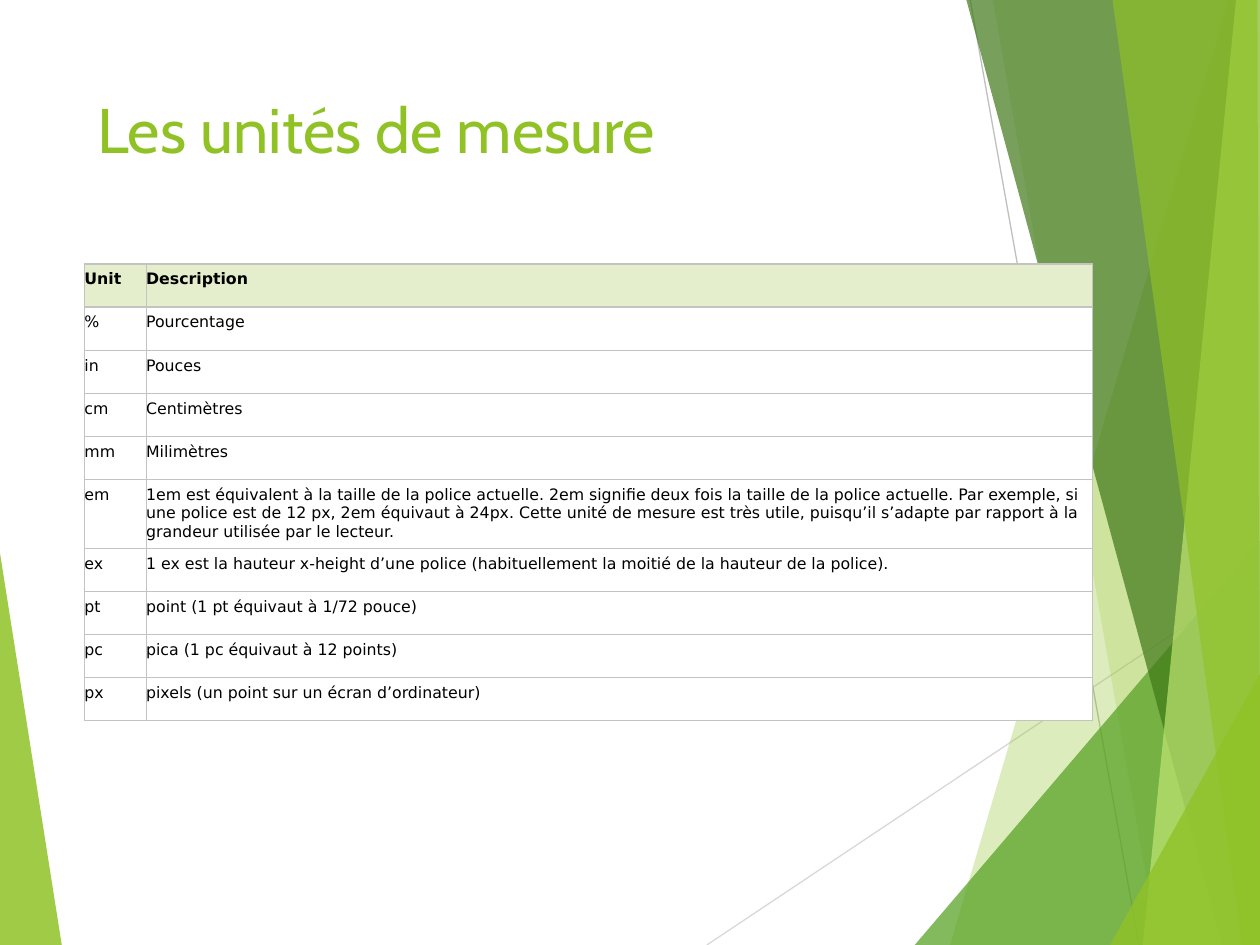
from lxml.etree import SubElement
from pptx import Presentation
from pptx.dml.color import RGBColor
from pptx.enum.shapes import MSO_CONNECTOR as Connector
from pptx.enum.text import MSO_ANCHOR as Anchor, PP_ALIGN as Align
from pptx.oxml.ns import qn
from pptx.util import Inches, Pt

LIME = RGBColor(0x90, 0xC2, 0x26)
PALE_LIME = RGBColor(0xBF, 0xE4, 0x71)
GREEN = RGBColor(0x54, 0xA0, 0x21)
DARK_GREEN = RGBColor(0x3F, 0x78, 0x18)
HEADER_GREEN = RGBColor(0xE5, 0xEE, 0xCC)
LIGHT_GREY = RGBColor(0xD8, 0xD8, 0xD8)
GREY = RGBColor(0xBF, 0xBF, 0xBF)
BORDER_GREY = RGBColor(0xC3, 0xC3, 0xC3)
WHITE = RGBColor(0xFF, 0xFF, 0xFF)
BLACK = RGBColor(0, 0, 0)

COLUMNS, ROWS = 100, 75

LEFT_FACET = ([(0, 43.9), (4.9, 75), (0, 75)], LIME, 85)
RIGHT_FACETS = [
    ([(97.5, 0), (75.4, 75), (100, 75), (100, 0)], LIME, 30),
    ([(78.8, 0), (91.9, 75), (100, 75), (100, 0)], LIME, 20),
    ([(72.6, 75), (100, 42.9), (100, 75)], GREEN, 72),
    ([(76.7, 0), (97, 75), (100, 75), (100, 0)], DARK_GREEN, 70),
    ([(98.1, 0), (90.7, 75), (100, 75), (100, 0)], PALE_LIME, 70),
    ([(88.3, 0), (98.6, 75), (100, 75), (99.8, 0)], LIME, 65),
    ([(88.1, 75), (100, 53.5), (100, 75)], LIME, 80),
]
RAYS = [((56.1, 75), (100, 45.7), LIGHT_GREY), ((77, 0), (90.4, 75), GREY)]

UNITS = [
    ("Unit", "Description"),
    ("%", "Pourcentage"),
    ("in", "Pouces"),
    ("cm", "Centimètres"),
    ("mm", "Milimètres"),
    ("em", "1em est équivalent à la taille de la police actuelle. 2em signifie deux fois "
           "la taille de la police actuelle. Par exemple, si une police est de 12 px, 2em "
           "équivaut à 24px. Cette unité de mesure est très utile, puisqu’il s’adapte par "
           "rapport à la grandeur utilisée par le lecteur."),
    ("ex", "1 ex est la hauteur x-height d’une police (habituellement la moitié de la "
           "hauteur de la police)."),
    ("pt", "point (1 pt équivaut à 1/72 pouce)"),
    ("pc", "pica (1 pc équivaut à 12 points)"),
    ("px", "pixels (un point sur un écran d’ordinateur)"),
]


class SlideBuilder:
    """Draws styled elements on one slide, placed on a 100 by 75 grid."""

    title_font, title_size = "Cabin", Pt(36)
    table_font, table_size = "DejaVu Sans", Pt(9)
    line_width = Pt(0.75)

    def __init__(self, presentation):
        self.column = presentation.slide_width / COLUMNS
        self.row = presentation.slide_height / ROWS
        self.slide = presentation.slides.add_slide(presentation.slide_layouts[5])

    def point(self, x, y):
        return round(x * self.column), round(y * self.row)

    def format_runs(self, paragraph, font, size, color, bold=False):
        for run in paragraph.runs:
            run.font.name, run.font.size, run.font.bold = font, size, bold
            run.font.color.rgb = color

    def title(self, text, corner, size):
        shape = self.slide.shapes.title
        shape.left, shape.top = self.point(*corner)
        shape.width, shape.height = self.point(*size)
        frame = shape.text_frame
        frame.text = text
        frame.vertical_anchor = Anchor.TOP
        frame.paragraphs[0].alignment = Align.LEFT
        self.format_runs(frame.paragraphs[0], self.title_font, self.title_size, LIME)

    def facet(self, corners, color, opacity):
        start, *others = [self.point(*corner) for corner in corners]
        builder = self.slide.shapes.build_freeform(*start)
        builder.add_line_segments(others, close=True)
        shape = builder.convert_to_shape()
        shape.shadow.inherit = False
        shape.fill.solid()
        shape.fill.fore_color.rgb = color
        color_element = shape._element.spPr.find(".//" + qn("a:srgbClr"))
        SubElement(color_element, qn("a:alpha"), val=str(opacity * 1000))
        shape.line.fill.background()

    def ray(self, start, end, color):
        connector = self.slide.shapes.add_connector(
            Connector.STRAIGHT, *self.point(*start), *self.point(*end))
        connector.line.color.rgb = color
        connector.line.width = self.line_width
        SubElement(connector._element.spPr, qn("a:effectLst"))

    def borders(self, cell):
        properties = cell._tc.get_or_add_tcPr()
        for side in ("L", "R", "T", "B"):
            line = SubElement(properties, qn(f"a:ln{side}"), w=str(self.line_width))
            fill = SubElement(line, qn("a:solidFill"))
            SubElement(fill, qn("a:srgbClr"), val=str(BORDER_GREY))

    def cell(self, cell, text, is_header):
        self.borders(cell)
        cell.fill.solid()
        cell.fill.fore_color.rgb = HEADER_GREEN if is_header else WHITE
        cell.margin_left = cell.margin_right = 0
        cell.margin_top = cell.margin_bottom = Inches(0.05)
        cell.text_frame.text = text
        self.format_runs(cell.text_frame.paragraphs[0], self.table_font,
                         self.table_size, BLACK, is_header)

    def table(self, records, corner, widths, heights):
        table = self.slide.shapes.add_table(
            len(records), len(widths), *self.point(*corner),
            *self.point(sum(widths), sum(heights))).table
        table.first_row = table.horz_banding = False
        for column, width in zip(table.columns, widths):
            column.width = round(width * self.column)
        for index, (record, height) in enumerate(zip(records, heights)):
            table.rows[index].height = round(height * self.row)
            for position, text in enumerate(record):
                self.cell(table.cell(index, position), text, index == 0)


def main():
    presentation = Presentation()
    presentation.slide_width, presentation.slide_height = Inches(10), Inches(7.5)
    builder = SlideBuilder(presentation)
    builder.facet(*LEFT_FACET)
    for ray in RAYS:
        builder.ray(*ray)
    for facet in RIGHT_FACETS:
        builder.facet(*facet)
    heights = [5.5 if unit == "em" else 3.42 for unit, _ in UNITS]
    builder.table(UNITS, (6.7, 20.95), (4.9, 75.1), heights)
    builder.title("Les unités de mesure", (6.7, 6.7), (69.4, 14.4))
    presentation.save("out.pptx")


if __name__ == "__main__":
    main()
